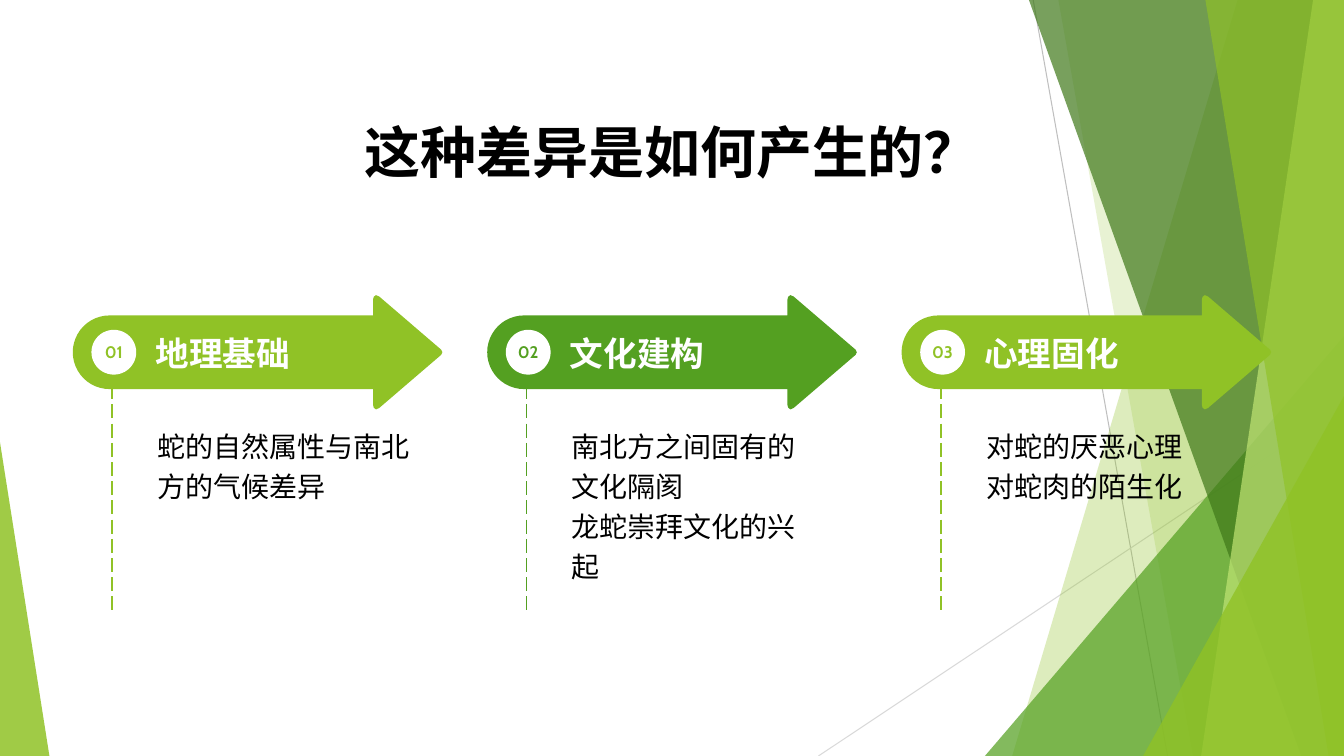
import math
from typing import NamedTuple

from lxml import etree
from pptx import Presentation
from pptx.dml.color import RGBColor
from pptx.enum.dml import MSO_LINE
from pptx.enum.shapes import MSO_CONNECTOR, MSO_SHAPE
from pptx.enum.text import MSO_ANCHOR, MSO_AUTO_SIZE, PP_ALIGN
from pptx.oxml.ns import qn
from pptx.util import Pt

STRAIGHT = MSO_CONNECTOR.STRAIGHT
TRIANGLE, OVAL = MSO_SHAPE.ISOSCELES_TRIANGLE, MSO_SHAPE.OVAL
TOP, MIDDLE, BOTTOM = MSO_ANCHOR.TOP, MSO_ANCHOR.MIDDLE, MSO_ANCHOR.BOTTOM
LEFT, CENTER = PP_ALIGN.LEFT, PP_ALIGN.CENTER
LONG_DASH = MSO_LINE.LONG_DASH
NO_AUTOFIT = MSO_AUTO_SIZE.NONE

FONT = "Cabin"
BLACK, WHITE = "000000", "FFFFFF"
LIME, GREEN = "90C226", "54A021"
WIDTH, HEIGHT = 960, 540
STEP = 296
AXIS = 251.6
CAP_RADIUS = 26.3

Point = tuple[float, float]


class Facet(NamedTuple):
    top_left: float
    bottom_left: float
    color: str
    alpha: int


class Wedge(NamedTuple):
    left: float
    top: float
    width: float
    skew: float
    color: str
    alpha: int


class Stage(NamedTuple):
    number: str
    heading: str
    details: list[str]
    color: str
    detail_width: float


BACK_FACETS = [Facet(884, 723, LIME, 30), Facet(756, 852, LIME, 20)]
FRONT_FACETS = [
    Facet(735, 929.5, "3F7819", 70),
    Facet(938, 858, "C0E474", 70),
    Facet(861, 949, LIME, 65),
]
BACK_WEDGES = [Wedge(703.5, 240, 256.5, 1, GREEN, 72)]
FRONT_WEDGES = [
    Wedge(816.5, 283, 143.5, 1, LIME, 80),
    Wedge(0, 316, 35.3, 0, LIME, 85),
]
STAGES = [
    Stage("01", "地理基础", ["蛇的自然属性与南北方的气候差异"], LIME, 199.4),
    Stage("02", "文化建构", ["南北方之间固有的文化隔阂", "龙蛇崇拜文化的兴起"], GREEN, 189.4),
    Stage("03", "心理固化", ["对蛇的厌恶心理", "对蛇肉的陌生化"], LIME, 189.4),
]
HEAD_EDGE = [
    (214.5, -CAP_RADIUS), (214.5, -37.6), (215, -39.6), (216.6, -40.8),
    (218.9, -39.8), (263.2, -1.8), (264, 0),
]


def rgb(color: str) -> RGBColor:
    return RGBColor.from_string(color)


def paint(shape, color: str, alpha: int = 100) -> None:
    shape.shadow.inherit = False
    shape.line.fill.background()
    shape.fill.solid()
    shape.fill.fore_color.rgb = rgb(color)
    if alpha < 100:
        tint = shape.fill._xPr.find(".//" + qn("a:srgbClr"))
        etree.SubElement(tint, qn("a:alpha"), val=str(alpha * 1000))


def add_polygon(s, points: list[Point], color: str, alpha: int = 100) -> None:
    corners = [(Pt(x), Pt(y)) for x, y in points]
    builder = s.shapes.build_freeform(*corners[0])
    builder.add_line_segments(corners[1:], close=True)
    paint(builder.convert_to_shape(), color, alpha)


def add_line(s, start: Point, end: Point, color: str, width: float, dash=None) -> None:
    line = s.shapes.add_connector(STRAIGHT, *(Pt(v) for v in start + end))
    line.line.color.rgb = rgb(color)
    line.line.width = Pt(width)
    if dash is not None:
        line.line.dash_style = dash
    etree.SubElement(line._element.spPr, qn("a:effectLst"))


def add_facets(s, facets: list[Facet]) -> None:
    for f in facets:
        corners = [(f.top_left, 0), (WIDTH, 0), (WIDTH, HEIGHT), (f.bottom_left, HEIGHT)]
        add_polygon(s, corners, f.color, f.alpha)


def add_wedges(s, wedges: list[Wedge]) -> None:
    for w in wedges:
        sp = s.shapes.add_shape(TRIANGLE, Pt(w.left), Pt(w.top), Pt(w.width), Pt(HEIGHT - w.top))
        sp.adjustments[0] = w.skew
        paint(sp, w.color, w.alpha)


def write(sp, texts: list[str], size: float, color: str, bold: bool = False,
          align=LEFT, anchor=MIDDLE, wrap: bool = True, spacing: float = 1.0) -> None:
    tf = sp.text_frame
    tf.word_wrap = wrap
    tf.auto_size = NO_AUTOFIT
    tf.vertical_anchor = anchor
    for i, text in enumerate(texts):
        p = tf.add_paragraph() if i else tf.paragraphs[0]
        p.alignment = align
        p.line_spacing = spacing
        r = p.add_run()
        r.text = text
        r.font.name = FONT
        r.font.size = Pt(size)
        r.font.bold = bold
        r.font.color.rgb = rgb(color)


def arrow_outline(left: float) -> list[Point]:
    angles = [math.radians(90 + 7.5 * i) for i in range(25)]
    cap = [(CAP_RADIUS * (1 + math.cos(a)), CAP_RADIUS * math.sin(a)) for a in angles]
    lower = [(x, -y) for x, y in reversed(HEAD_EDGE[:-1])]
    return [(left + x, AXIS + y) for x, y in cap + HEAD_EDGE + lower]


def add_stage(s, stage: Stage, offset: float) -> None:
    add_line(s, (offset + 80, 247.7), (offset + 80, 439), stage.color, 1.25, LONG_DASH)

    details = s.shapes.add_textbox(Pt(offset + 103.7), Pt(293), Pt(stage.detail_width), Pt(97.2))
    tf = details.text_frame
    tf.margin_left = tf.margin_right = tf.margin_top = tf.margin_bottom = Pt(8.64)
    write(details, stage.details, 20, BLACK, anchor=TOP, spacing=1.2)

    add_polygon(s, arrow_outline(offset + 52), stage.color)

    badge = s.shapes.add_shape(OVAL, Pt(offset + 65.3), Pt(235.6), Pt(32), Pt(32))
    paint(badge, WHITE)
    write(badge, [stage.number], 12, stage.color, bold=True, align=CENTER, wrap=False)

    heading = s.shapes.add_textbox(Pt(offset + 104), Pt(235.4), Pt(168.5), Pt(33.1))
    write(heading, [stage.heading], 24, WHITE, bold=True)


def main() -> None:
    prs = Presentation()
    prs.slide_width, prs.slide_height = Pt(WIDTH), Pt(HEIGHT)
    s = prs.slides.add_slide(prs.slide_layouts[5])

    add_line(s, (738, 0), (834, HEIGHT), "BFBFBF", 0.75)
    add_line(s, (WIDTH, 290), (584.6, HEIGHT), "D9D9D9", 0.75)
    add_facets(s, BACK_FACETS)
    add_wedges(s, BACK_WEDGES)
    add_facets(s, FRONT_FACETS)
    add_wedges(s, FRONT_WEDGES)

    title = s.shapes.title
    title.left, title.top, title.width, title.height = Pt(154), Pt(89.3), Pt(652.3), Pt(46)
    write(title, ["这种差异是如何产生的？"], 40, BLACK, bold=True, align=CENTER, anchor=BOTTOM)

    for i, stage in enumerate(STAGES):
        add_stage(s, stage, i * STEP)

    prs.save("out.pptx")


if __name__ == "__main__":
    main()
